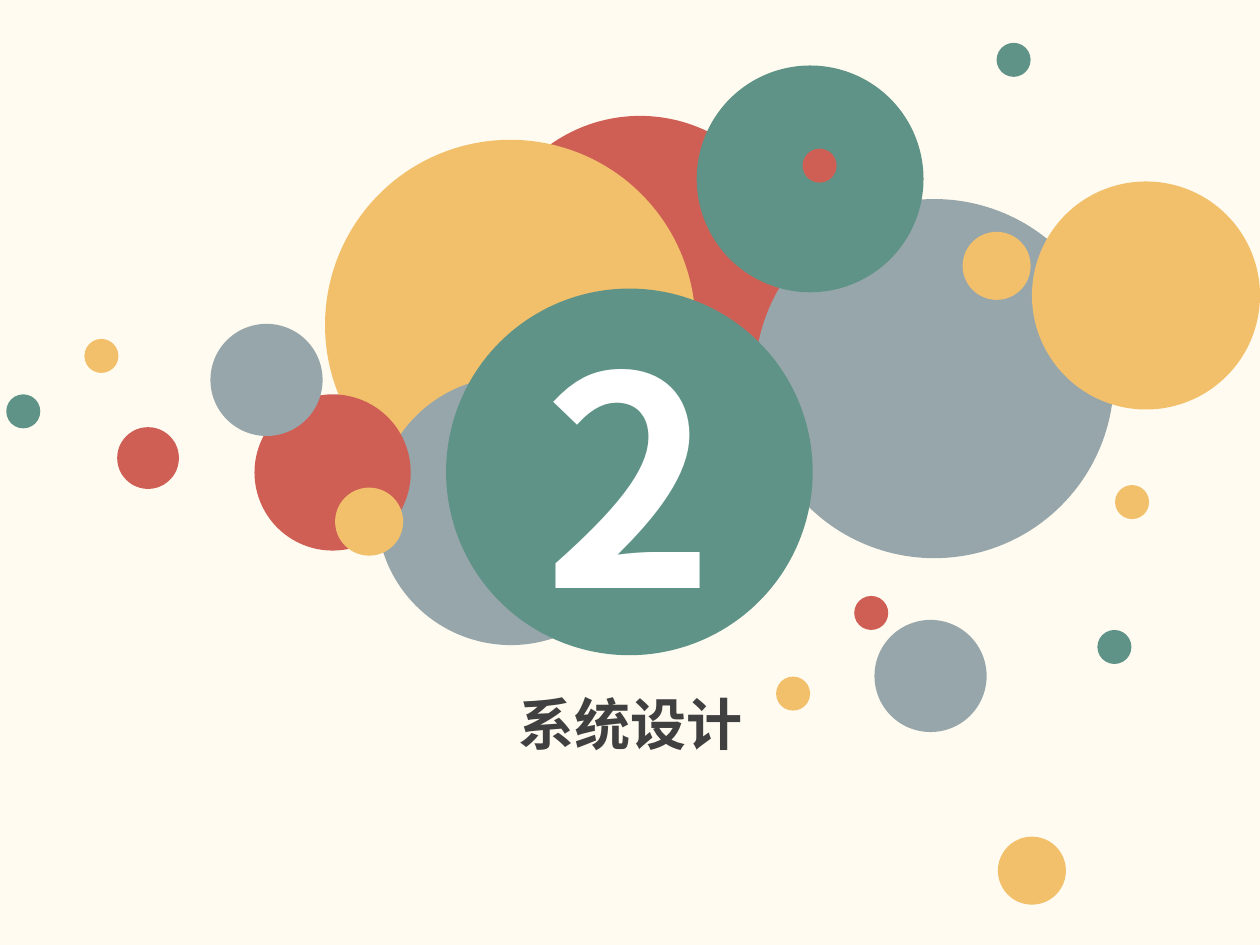
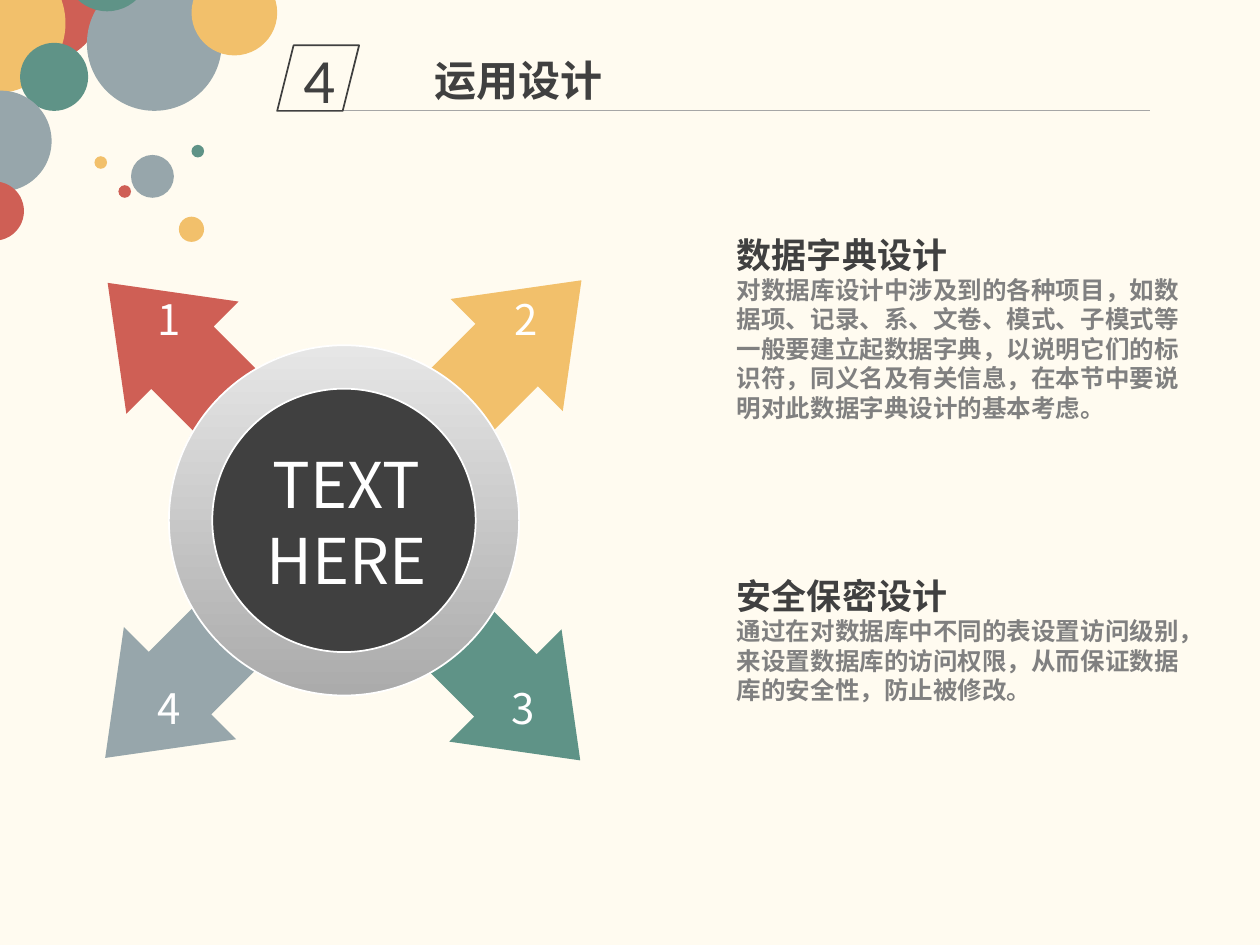
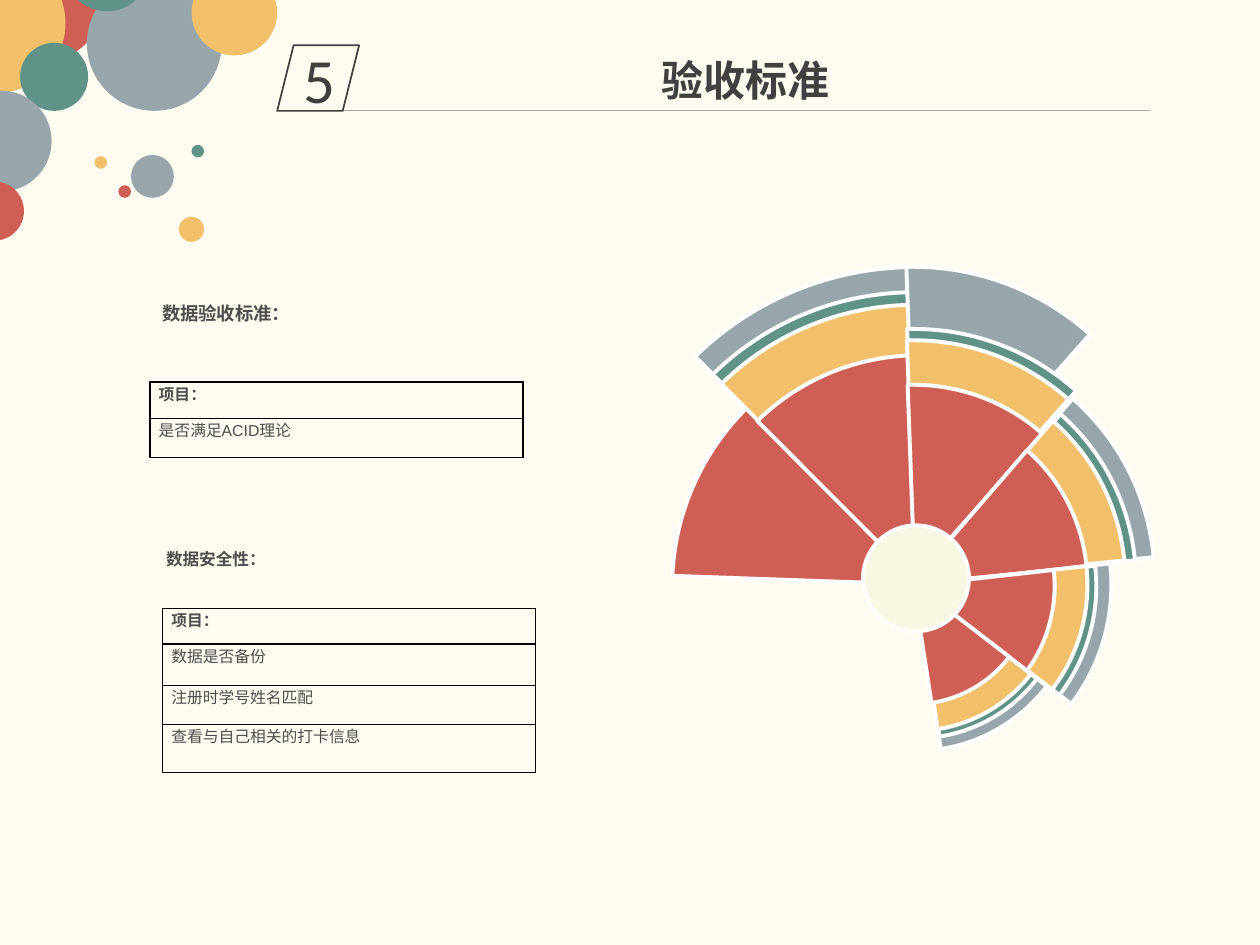
"""Build a section opener and two content slides decorated with coloured circles."""
import pptx
import pptx.util
import pptx.dml.color
import pptx.enum.shapes
import pptx.enum.text
import pptx.oxml
import pptx.oxml.ns

Inches = pptx.util.Inches
Pt = pptx.util.Pt
RGBColor = pptx.dml.color.RGBColor
SHAPE = pptx.enum.shapes.MSO_SHAPE
ANCHOR = pptx.enum.text.MSO_ANCHOR
ALIGN = pptx.enum.text.PP_ALIGN
AUTO_SIZE = pptx.enum.text.MSO_AUTO_SIZE

NOTO = "Noto Sans CJK SC"


class Theme:
    """Colours and type styles shared by all slides."""

    cream, white, ink = "FFFBF0", "FFFFFF", "404040"
    red, yellow, grey, green = "CF5F55", "F2C06B", "97A6AB", "5F9387"
    rule, border, hub = "A6A6A6", "080000", "F8F7E2"
    ring = ("ABABAB", "E6E6E6")
    styles = {
        "numeral": dict(name=NOTO, size=Pt(166), bold=True, color=white),
        "section": dict(name=NOTO, size=Pt(32), bold=True, color=ink),
        "title": dict(name=NOTO, size=Pt(24), bold=True, color=ink),
        "number": dict(name="Calibri", size=Pt(36), bold=False, color=ink),
        "arrow": dict(name=NOTO, size=Pt(24), bold=False, color=white),
        "centre": dict(name=NOTO, size=Pt(36), bold=False, color=white),
        "heading": dict(name="Calibri", size=Pt(20), bold=True, color=ink),
        "body": dict(name="Calibri", size=Pt(14), bold=True, color="808080"),
        "caption": dict(name="Calibri", size=Pt(10.5), bold=True, color="4D4D4D"),
        "small caption": dict(name="Calibri", size=Pt(9.5), bold=True, color="4D4D4D"),
        "table head": dict(name="Arial", size=Pt(9), bold=True, color="4D4D4D"),
        "table cell": dict(name="Arial", size=Pt(9), bold=False, color="4D4D4D"),
    }


RED, YELLOW, GREY, GREEN = Theme.red, Theme.yellow, Theme.grey, Theme.green

SECTION_CIRCLES = [
    (3.85, 0.92, 2.46, RED), (2.58, 1.11, 2.94, YELLOW),
    (2.99, 2.99, 2.13, GREY), (5.99, 1.58, 2.85, GREY),
    (5.53, 0.52, 1.8, GREEN), (2.02, 3.13, 1.24, RED),
    (6.94, 4.92, 0.89, GREY), (6.78, 4.73, 0.27, RED),
    (6.16, 5.37, 0.27, YELLOW), (8.71, 5, 0.27, GREEN),
    (7.92, 6.64, 0.54, YELLOW), (8.19, 1.44, 1.81, YELLOW),
    (1.67, 2.57, 0.89, GREY), (0.93, 3.39, 0.49, RED),
    (0.67, 2.69, 0.27, YELLOW), (0.05, 3.13, 0.27, GREEN),
    (2.66, 3.87, 0.54, YELLOW), (6.37, 1.18, 0.27, RED),
    (8.85, 3.85, 0.27, YELLOW), (7.91, 0.34, 0.27, GREEN),
    (7.64, 1.84, 0.54, YELLOW),
]
CORNER_CIRCLES = [
    (-0.12, -0.44, 0.93, RED), (-0.59, -0.37, 1.11, YELLOW),
    (0.16, 0.34, 0.54, GREEN), (-0.39, 0.72, 0.8, GREY),
    (0.69, -0.19, 1.07, GREY), (0.51, -0.59, 0.68, GREEN),
    (-0.28, 1.44, 0.47, RED), (1.04, 1.23, 0.34, GREY),
    (0.94, 1.47, 0.1, RED), (0.75, 1.24, 0.1, YELLOW),
    (1.52, 1.15, 0.1, GREEN), (1.42, 1.72, 0.2, YELLOW),
    (1.52, -0.24, 0.68, YELLOW),
]
ARROWS = [
    (3.24, 4.26, 135, GREEN), (0.94, 4.24, 225, GREY),
    (0.96, 1.94, 315, RED), (3.25, 1.92, 45, YELLOW),
]
ARROW_LABELS = [("2", 3.98, 2.28), ("1", 1.14, 2.28), ("4", 1.14, 5.37), ("3", 3.95, 5.37)]
TOPICS = [
    (1.8, 1.85, "数据字典设计",
     "对数据库设计中涉及到的各种项目，如数据项、记录、系、文卷、模式、子模式等一般要建立起数据字典，"
     "以说明它们的标识符，同义名及有关信息，在本节中要说明对此数据字典设计的基本考虑。"),
    (4.51, 1.14, "安全保密设计",
     "通过在对数据库中不同的表设置访问级别，来设置数据库的访问权限，从而保证数据库的安全性，防止被修改。"),
]
BAND_COLOURS = [GREY, GREEN, YELLOW, RED]
FANS = [
    (324.5, [(5.33, 2.66, 3.99, 3.96)]),
    (7.6, [(4.78, 2.12, 4.97, 4.93), (4.98, 2.32, 4.57, 4.53),
           (5.08, 2.42, 4.37, 4.34), (5.47, 2.82, 3.65, 3.62)]),
    (50.4, [(5.17, 2.13, 4.2, 4.16), (5.34, 2.62, 3.86, 3.83),
            (5.42, 2.71, 3.69, 3.66), (5.72, 3.06, 3.08, 3.06)]),
    (93.3, [(5.36, 2.71, 3.82, 3.79), (5.51, 2.87, 3.52, 3.49),
            (5.58, 2.94, 3.36, 3.34), (5.83, 3.24, 2.81, 2.79)]),
    (136.1, [(5.71, 3.09, 3.11, 3.11), (5.84, 3.22, 2.86, 2.86),
             (5.9, 3.28, 2.73, 2.73), (6.09, 3.51, 2.28, 2.28)]),
    (180, [(5.95, 3.33, 2.63, 2.63), (6.06, 3.44, 2.42, 2.42),
           (6.11, 3.49, 2.31, 2.31), (6.28, 3.66, 1.93, 1.93)]),
]
CAPTIONS = [
    ("数据验收标准：", "caption", (1.19, 2.35, 5.56, 0.28)),
    ("数据安全性：", "small caption", (1.22, 4.31, 5.56, 0.28)),
]
TABLES = [
    (1.19, 3.03, [("项目：", 0.29), ("是否满足ACID理论", 0.31)]),
    (1.29, 4.83, [("项目：", 0.28), ("数据是否备份", 0.33),
                  ("注册时学号姓名匹配", 0.31), ("查看与自己相关的打卡信息", 0.38)]),
]


def colour(value):
    return RGBColor.from_string(value)


def set_attributes(target, values):
    for name, value in values.items():
        setattr(target, name, value)


def place(shape, box):
    names = ("left", "top", "width", "height")
    set_attributes(shape, dict(zip(names, map(Inches, box))))


def write(frame, lines, align=ALIGN.LEFT, **frame_format):
    set_attributes(frame, frame_format)
    for index, (text, style_name) in enumerate(lines):
        paragraph = frame.add_paragraph() if index else frame.paragraphs[0]
        paragraph.alignment = align
        run = paragraph.add_run()
        run.text = text
        style = dict(Theme.styles[style_name])
        run.font.color.rgb = colour(style.pop("color"))
        set_attributes(run.font, style)
        east_asian = pptx.oxml.parse_xml(
            f'<a:ea {pptx.oxml.ns.nsdecls("a")} typeface="{NOTO}"/>')
        run.font._element.find(pptx.oxml.ns.qn("a:latin")).addnext(east_asian)


def add_shape(shapes, kind, box, fill=None, line=None, line_width=1,
              rotation=0, adjustments=()):
    shape = shapes.add_shape(kind, *map(Inches, box))
    shape.shadow.inherit = False
    shape.rotation = rotation
    for index, value in enumerate(adjustments):
        shape.adjustments[index] = value
    if fill:
        shape.fill.solid()
        shape.fill.fore_color.rgb = colour(fill)
    else:
        shape.fill.background()
    if line:
        shape.line.color.rgb = colour(line)
        shape.line.width = Pt(line_width)
    else:
        shape.line.fill.background()
    return shape


def add_circles(shapes, circles):
    for left, top, size, fill in circles:
        add_shape(shapes, SHAPE.OVAL, (left, top, size, size), fill)


def add_text(slide, box, lines, align=ALIGN.LEFT, wrap=True):
    text_box = slide.shapes.add_textbox(*map(Inches, box))
    write(text_box.text_frame, lines, align, word_wrap=wrap,
          auto_size=AUTO_SIZE.SHAPE_TO_FIT_TEXT)


def add_slide(presentation, title, style, box, align):
    slide = presentation.slides.add_slide(presentation.slide_layouts[5])
    place(slide.shapes.title, box)
    write(slide.shapes.title.text_frame, [(title, style)], align, word_wrap=True,
          vertical_anchor=ANCHOR.TOP, auto_size=AUTO_SIZE.SHAPE_TO_FIT_TEXT)
    return slide


def add_content_slide(presentation, number, title, align):
    slide = add_slide(presentation, title, "title", (3.35, 0.38, 5.13, 0.5), align)
    add_circles(slide.shapes.add_group_shape().shapes, CORNER_CIRCLES)
    rule = slide.shapes.add_connector(
        pptx.enum.shapes.MSO_CONNECTOR.STRAIGHT, *map(Inches, (2.68, 0.88, 9.13, 0.88)))
    rule.line.color.rgb = colour(Theme.rule)
    rule.line.width = Pt(0.5)
    rule._element.spPr.append(
        pptx.oxml.parse_xml(f'<a:effectLst {pptx.oxml.ns.nsdecls("a")}/>'))
    badge = add_shape(slide.shapes, SHAPE.PARALLELOGRAM, (2.2, 0.36, 0.65, 0.52),
                      line=Theme.ink)
    write(badge.text_frame, [(number, "number")], ALIGN.CENTER,
          vertical_anchor=ANCHOR.MIDDLE)
    return slide


def add_cell_borders(cell):
    properties = cell._tc.get_or_add_tcPr()
    for side in "LRTB":
        properties.append(pptx.oxml.parse_xml(
            f'<a:ln{side} {pptx.oxml.ns.nsdecls("a")} w="{Pt(1)}"><a:solidFill>'
            f'<a:srgbClr val="{Theme.border}"/></a:solidFill></a:ln{side}>'))


def add_table(slide, left, top, rows):
    height = sum(row_height for _, row_height in rows)
    table = slide.shapes.add_table(
        len(rows), 1, *map(Inches, (left, top, 2.96, height))).table
    set_attributes(table, dict(first_row=False, horz_banding=False))
    for index, (text, row_height) in enumerate(rows):
        table.rows[index].height = Inches(row_height)
        cell = table.cell(index, 0)
        set_attributes(cell, dict(margin_left=Inches(0.07), margin_right=Inches(0.07),
                                  margin_top=0, margin_bottom=0))
        add_cell_borders(cell)
        cell.fill.background()
        write(cell.text_frame, [(text, "table cell" if index else "table head")])


def build_section(presentation):
    slide = add_slide(presentation, "系统设计", "section",
                      (1.99, 5.42, 6.03, 0.64), ALIGN.CENTER)
    add_circles(slide.shapes, SECTION_CIRCLES)
    disc = add_shape(slide.shapes, SHAPE.OVAL, (3.54, 2.29, 2.91, 2.91), GREEN)
    write(disc.text_frame, [("2", "numeral")], ALIGN.CENTER,
          vertical_anchor=ANCHOR.MIDDLE)


def build_design(presentation):
    slide = add_content_slide(presentation, "4", "运用设计", ALIGN.LEFT)
    for left, top, rotation, fill in ARROWS:
        add_shape(slide.shapes, SHAPE.UP_ARROW, (left, top, 1.26, 2.08), fill,
                  rotation=rotation, adjustments=(0.556, 0.667))
    wheel = (1.34, 2.74, 2.78, 2.78)
    add_shape(slide.shapes, SHAPE.OVAL, wheel, Theme.ink)
    ring = add_shape(slide.shapes, SHAPE.DONUT, wheel, line=Theme.white,
                     adjustments=(0.124,))
    ring.fill.gradient()
    ring.fill.gradient_angle = 90
    for stop, value in zip(ring.fill.gradient_stops, Theme.ring):
        stop.color.rgb = colour(value)
    for label, left, top in ARROW_LABELS:
        add_text(slide, (left, top, 0.4, 0.5), [(label, "arrow")], ALIGN.CENTER, False)
    add_text(slide, (2.01, 3.49, 1.48, 1.31),
             [("TEXT", "centre"), ("HERE", "centre")], ALIGN.CENTER, False)
    for top, height, heading, body in TOPICS:
        add_text(slide, (5.75, top, 3.71, height),
                 [(heading, "heading"), (body, "body")])


def build_acceptance(presentation):
    slide = add_content_slide(presentation, "5", "验收标准", ALIGN.CENTER)
    outline = dict(line=Theme.white, line_width=2.25)
    for rotation, bands in FANS:
        for box, fill in zip(bands, BAND_COLOURS[-len(bands):]):
            add_shape(slide.shapes, SHAPE.PIE, box, fill, rotation=rotation,
                      adjustments=(130.5, 156.71), **outline)
    add_shape(slide.shapes, SHAPE.OVAL, (6.85, 4.17, 0.84, 0.84), Theme.hub, **outline)
    for text, style, box in CAPTIONS:
        add_text(slide, box, [(text, style)])
    for left, top, rows in TABLES:
        add_table(slide, left, top, rows)


def main():
    presentation = pptx.Presentation()
    set_attributes(presentation, dict(slide_width=Inches(10), slide_height=Inches(7.5)))
    background = presentation.slide_master.background.fill
    background.solid()
    background.fore_color.rgb = colour(Theme.cream)
    for build in (build_section, build_design, build_acceptance):
        build(presentation)
    presentation.save("out.pptx")


if __name__ == "__main__":
    main()
